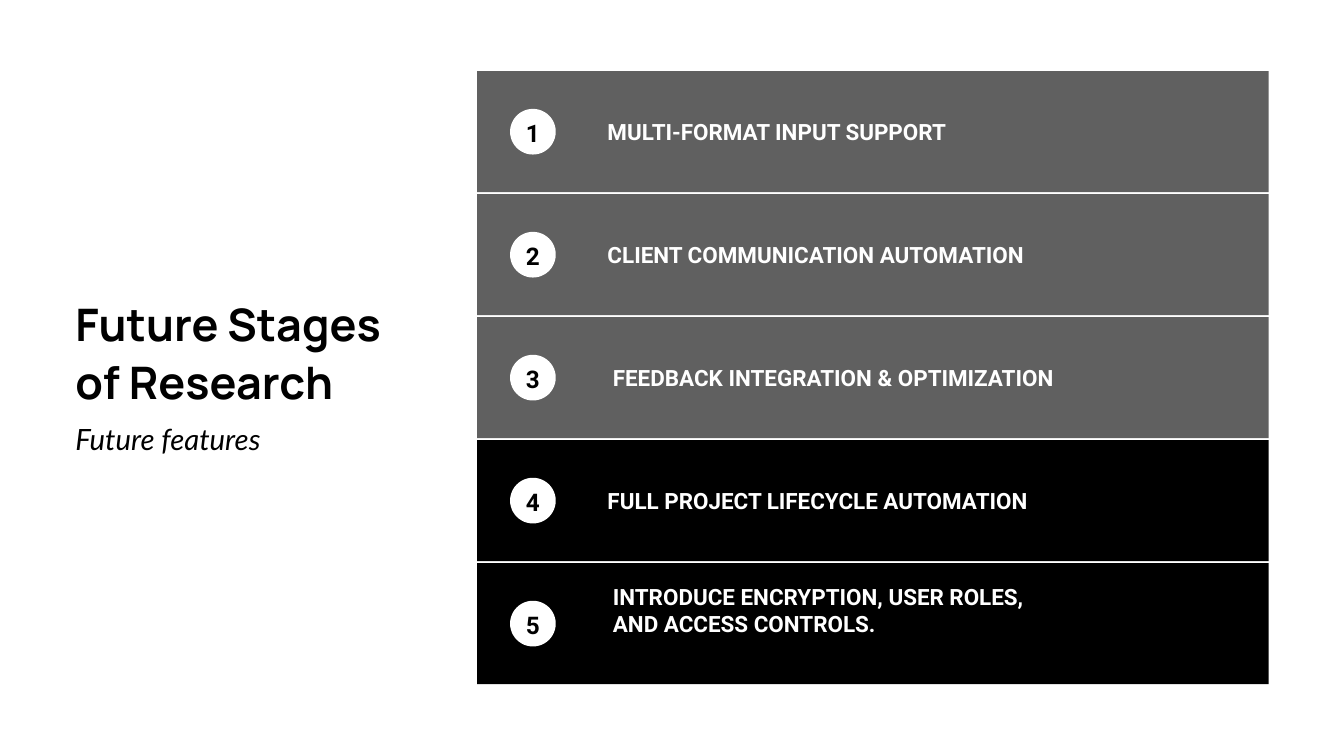
from dataclasses import dataclass

from pptx import Presentation
from pptx.dml.color import RGBColor
from pptx.enum.shapes import MSO_SHAPE
from pptx.enum.text import MSO_ANCHOR, MSO_AUTO_SIZE, PP_ALIGN
from pptx.util import Inches, Pt

RECTANGLE, OVAL = MSO_SHAPE.RECTANGLE, MSO_SHAPE.OVAL
TOP, MIDDLE = MSO_ANCHOR.TOP, MSO_ANCHOR.MIDDLE
LEFT, CENTER = PP_ALIGN.LEFT, PP_ALIGN.CENTER
FIXED_SIZE = MSO_AUTO_SIZE.NONE


@dataclass(frozen=True)
class Theme:
    black = RGBColor.from_string("000000")
    gray = RGBColor.from_string("606060")
    white = RGBColor.from_string("FFFFFF")
    title = {"name": "Manrope", "size": Pt(48), "bold": True, "italic": False}
    subtitle = {"name": "Lato", "size": Pt(31.4), "bold": False, "italic": True}
    stage = {"name": "Roboto", "size": Pt(24), "bold": True, "italic": False}
    number = {"name": "Roboto", "size": Pt(26), "bold": True, "italic": False}


class StagePage:
    def __init__(self, page, theme):
        self.page = page
        self.theme = theme

    def set_text(self, box, lines, style, color, leading, align=LEFT, anchor=TOP, insets=(0, 0, 0, 0)):
        frame = box.text_frame
        left, top, right, bottom = map(Inches, insets)
        frame_format = {
            "word_wrap": True,
            "auto_size": FIXED_SIZE,
            "vertical_anchor": anchor,
            "margin_left": left,
            "margin_top": top,
            "margin_right": right,
            "margin_bottom": bottom,
        }
        for name, value in frame_format.items():
            setattr(frame, name, value)
        for index, line in enumerate(lines):
            para = frame.add_paragraph() if index else frame.paragraphs[0]
            para.alignment = align
            para.line_spacing = Pt(leading)
            para.space_before = Pt(0)
            span = para.add_run()
            span.text = line
            for name, value in style.items():
                setattr(span.font, name, value)
            span.font.color.rgb = color

    def heading(self, index, area, lines, style, leading):
        box = self.page.placeholders[index]
        box.left, box.top, box.width, box.height = map(Inches, area)
        self.set_text(box, lines, style, self.theme.black, leading)

    def shape(self, kind, area, color):
        box = self.page.shapes.add_shape(kind, *map(Inches, area))
        box.shadow.inherit = False
        box.fill.solid()
        box.fill.fore_color.rgb = color
        box.line.fill.background()
        return box

    def stage(self, number, top, lines, color, indent, bottom):
        theme = self.theme
        bar = self.shape(RECTANGLE, (7.1, top, 11.78, 1.8), color)
        self.set_text(bar, lines, theme.stage, theme.white, 28.8,
                      anchor=MIDDLE, insets=(indent, 0.28, 0.28, bottom))
        badge = self.shape(OVAL, (7.59, top + 0.56, 0.68, 0.68), theme.white)
        self.set_text(badge, [str(number)], theme.number, theme.black, 36.4,
                      align=CENTER, anchor=MIDDLE, insets=(0, 0, 0, 0.04))


def main():
    deck = Presentation()
    deck.slide_width, deck.slide_height = Inches(20), Inches(11.25)
    theme = Theme()
    page = StagePage(deck.slides.add_slide(deck.slide_layouts[0]), theme)

    page.heading(0, (1.12, 4.35, 4.98, 1.77), ["Future Stages", "of Research"], theme.title, 62.4)
    page.heading(1, (1.12, 6.36, 4.98, 0.45), ["Future features"], theme.subtitle, 31.4)

    stages = [
        (["MULTI-FORMAT INPUT SUPPORT"], theme.gray, 1.94, 0.28),
        (["CLIENT COMMUNICATION AUTOMATION"], theme.gray, 1.94, 0.28),
        (["FEEDBACK INTEGRATION & OPTIMIZATION"], theme.gray, 2.02, 0.28),
        (["FULL PROJECT LIFECYCLE AUTOMATION"], theme.black, 1.94, 0.28),
        (["INTRODUCE ENCRYPTION, USER ROLES,", "AND ACCESS CONTROLS."], theme.black, 2.02, 0.68),
    ]
    first_top, pitch = 1.06, 1.83
    for index, (lines, color, indent, bottom) in enumerate(stages):
        page.stage(index + 1, first_top + index * pitch, lines, color, indent, bottom)

    deck.save("out.pptx")


if __name__ == "__main__":
    main()
